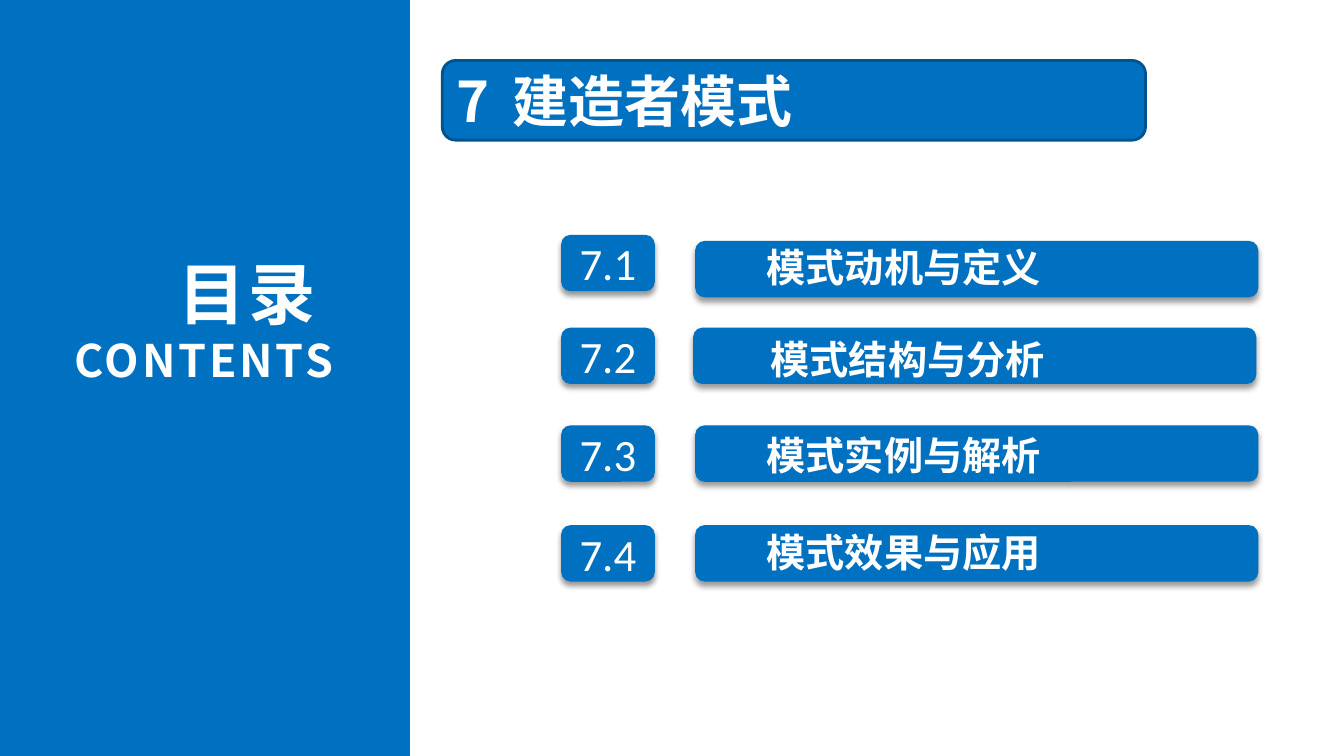
from dataclasses import dataclass
from typing import NamedTuple

from lxml.etree import SubElement
from pptx import Presentation
from pptx.dml.color import RGBColor
from pptx.enum.shapes import MSO_SHAPE as Preset
from pptx.enum.text import MSO_ANCHOR as Anchor, MSO_AUTO_SIZE as AutoSize, PP_ALIGN as Align
from pptx.oxml.ns import qn
from pptx.util import Emu, Pt

EMU_PER_PX = 9144
BLUE, DARK_BLUE, WHITE, BLACK = "0070C0", "00538E", "FFFFFF", "000000"
LATIN, CHINESE = "Calibri", "Noto Sans CJK SC"


class Box(NamedTuple):
    """Left, top, width and height in px."""
    left: int
    top: int
    width: int
    height: int


class Words(NamedTuple):
    """One run of text; spacing is in points."""
    text: str
    size: int
    font: str = CHINESE
    bold: bool = True
    spacing: int = 0


@dataclass
class Section:
    """One entry of the contents list."""
    number: str
    title: str
    number_top: int
    bar_left: int
    bar_top: int
    title_box: Box


SECTIONS = [
    Section("7.1", "模式动机与定义", 233, 690, 239, Box(748, 234, 478, 61)),
    Section("7.2", "模式结构与分析", 325, 688, 325, Box(752, 326, 396, 61)),
    Section("7.3", "模式实例与解析", 422, 690, 422, Box(748, 421, 409, 61)),
    Section("7.4", "模式效果与应用", 521, 690, 521, Box(748, 517, 409, 61)),
]


def px(length: int) -> Emu:
    """Turn px into EMU."""
    return Emu(length * EMU_PER_PX)


def color(value: str) -> RGBColor:
    """Turn a hex string into a colour."""
    return RGBColor.from_string(value)


def draw_panel(shapes, preset, box: Box, outline: str = "", shadow: bool = False):
    """Draw a blue panel with an optional outline or soft shadow."""
    panel = shapes.add_shape(preset, *map(px, box))
    panel.shadow.inherit = False
    panel.fill.solid()
    panel.fill.fore_color.rgb = color(BLUE)
    if outline:
        panel.line.color.rgb = color(outline)
        panel.line.width = Pt(2)
    else:
        panel.line.fill.background()
    if shadow:
        effects = panel.element.spPr.find(qn("a:effectLst"))
        outer = SubElement(effects, qn("a:outerShdw"), blurRad=str(Pt(4)), dist=str(Pt(3)),
                           dir="5400000", algn="t", rotWithShape="0")
        tint = SubElement(outer, qn("a:srgbClr"), val=BLACK)
        SubElement(tint, qn("a:alpha"), val="40000")
    return panel


def write(holder, lines: list[list[Words]], align, anchor, margins: tuple[int, int] = (13, 7)) -> None:
    """Fill a shape with white paragraphs, run by run."""
    frame = holder.text_frame
    frame.word_wrap = True
    frame.vertical_anchor = anchor
    frame.margin_left = frame.margin_right = px(margins[0])
    frame.margin_top = frame.margin_bottom = px(margins[1])
    for index, line in enumerate(lines):
        paragraph = frame.add_paragraph() if index else frame.paragraphs[0]
        paragraph.alignment = align
        for words in line:
            run = paragraph.add_run()
            run.text = words.text
            run.font.size = Pt(words.size)
            run.font.bold = words.bold
            run.font.name = words.font
            run.font.color.rgb = color(WHITE)
            properties = run.font._element
            SubElement(properties, qn("a:ea"), typeface=words.font)
            if words.spacing:
                properties.set("spc", str(words.spacing * 100))


def draw_text(shapes, box: Box, lines: list[list[Words]], align) -> None:
    """Add a text box that grows with its text."""
    holder = shapes.add_textbox(*map(px, box))
    write(holder, lines, align, Anchor.TOP)
    holder.text_frame.auto_size = AutoSize.SHAPE_TO_FIT_TEXT


def draw_section(shapes, section: Section) -> None:
    """Draw a number badge and its title bar."""
    badge = draw_panel(shapes, Preset.ROUNDED_RECTANGLE, Box(557, section.number_top, 93, 56), shadow=True)
    write(badge, [[Words(section.number, 32, LATIN, False)]], Align.CENTER, Anchor.MIDDLE)
    entry = shapes.add_group_shape().shapes
    draw_panel(entry, Preset.ROUNDED_RECTANGLE, Box(section.bar_left, section.bar_top, 559, 56), shadow=True)
    draw_text(entry, section.title_box, [[Words(section.title, 28)]], Align.LEFT)


def main() -> None:
    """Build the contents slide."""
    deck = Presentation()
    deck.slide_width, deck.slide_height = px(1334), px(750)
    shapes = deck.slides.add_slide(deck.slide_layouts[6]).shapes
    draw_panel(shapes, Preset.RECTANGLE, Box(0, 0, 407, 750))
    for section in SECTIONS:
        draw_section(shapes, section)
    contents = [[Words("目录 ", 48, spacing=2)], [Words("CONTENTS", 32, spacing=2)]]
    draw_text(shapes, Box(37, 243, 307, 148), contents, Align.RIGHT)
    chapter = draw_panel(shapes, Preset.ROUNDED_RECTANGLE, Box(439, 60, 698, 79), outline=DARK_BLUE)
    heading = [Words("7", 40), Words(" ", 40, spacing=8), Words("建造者模式", 40)]
    write(chapter, [heading], Align.LEFT, Anchor.MIDDLE, (10, 5))
    deck.save("out.pptx")


if __name__ == "__main__":
    main()
